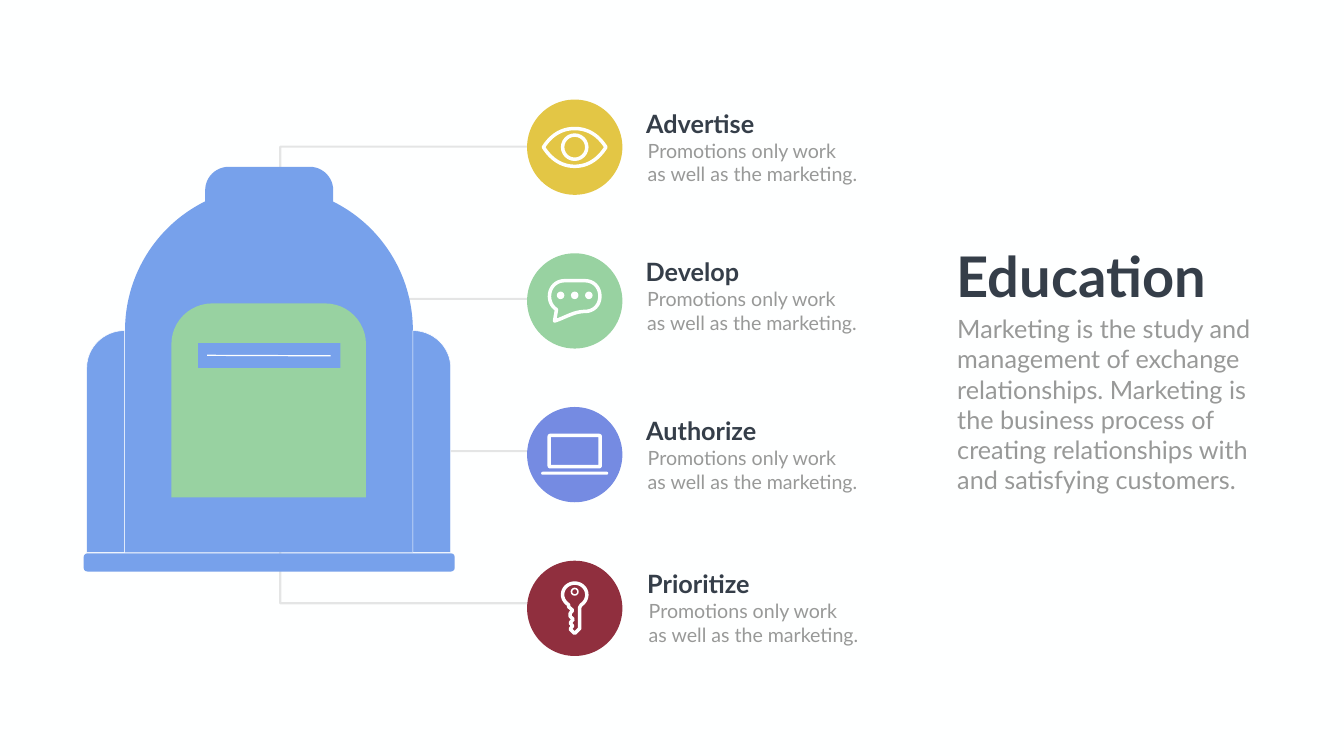
from dataclasses import dataclass
from typing import Callable

from lxml import etree
from pptx import Presentation
from pptx.dml.color import RGBColor
from pptx.enum.shapes import MSO_CONNECTOR, MSO_SHAPE
from pptx.oxml.ns import qn
from pptx.util import Inches, Pt

STRAIGHT = MSO_CONNECTOR.STRAIGHT
OVAL = MSO_SHAPE.OVAL
RECTANGLE = MSO_SHAPE.RECTANGLE
ROUNDED = MSO_SHAPE.ROUNDED_RECTANGLE
ROUND_TOP = MSO_SHAPE.ROUND_2_SAME_RECTANGLE

PAPER = RGBColor(0xFE, 0xFF, 0xFF)
BLUE = RGBColor(0x77, 0xA1, 0xEB)
GREEN = RGBColor(0x98, 0xD2, 0xA1)
YELLOW = RGBColor(0xE3, 0xC6, 0x45)
VIOLET = RGBColor(0x75, 0x8B, 0xE2)
CRIMSON = RGBColor(0x90, 0x2F, 0x3E)
LEADER = RGBColor(0x80, 0x80, 0x80)
INK = RGBColor(0x35, 0x3E, 0x49)
MUTED = RGBColor(0x98, 0x99, 0x98)

# Square grid cells: the page is COLUMNS by ROWS of them.
COLUMNS, ROWS = 26.66, 15
CELL = Inches(1)
FONT = "Lato"
ICON_STROKE = 5
LEADER_STROKE = 3

BADGE_SIZE = 1.89
BADGE_CENTRE = 11.4
FIRST_BADGE_ROW, BADGE_PITCH = 2.92, 3.05
FIRST_LEADER_ROW, LEADER_PITCH = 2.91, 3.02
LEADER_COLUMN = 5.56
BAG_CENTRE = 5.33

Point = tuple[float, float]
Step = tuple[Point, ...]  # one point is a straight line, three are a Bézier curve

EYE: list[Step] = [
    ((-0.62, 0),),
    ((-0.48, -0.22), (-0.28, -0.37), (0, -0.37)),
    ((0.28, -0.37), (0.48, -0.22), (0.62, 0)),
    ((0.48, 0.22), (0.28, 0.38), (0, 0.38)),
    ((-0.28, 0.38), (-0.48, 0.22), (-0.62, 0)),
]
BUBBLE: list[Step] = [
    ((0.2, -0.4),), ((-0.2, -0.4),),
    ((-0.37, -0.4), (-0.5, -0.27), (-0.5, -0.09)),
    ((-0.5, 0.01), (-0.45, 0.12), (-0.36, 0.17)),
    ((-0.4, 0.4),),
    ((-0.3, 0.37), (-0.18, 0.31), (-0.05, 0.26)),
    ((0.03, 0.23), (0.12, 0.21), (0.2, 0.21)),
    ((0.38, 0.21), (0.5, 0.08), (0.5, -0.09)),
    ((0.5, -0.27), (0.38, -0.4), (0.2, -0.4)),
]
KEY: list[Step] = [
    ((0.1, -0.02),), ((0.1, 0.4),), ((0, 0.5),), ((-0.09, 0.41),),
    ((-0.04, 0.35),), ((-0.09, 0.29),), ((-0.03, 0.22),), ((-0.09, 0.16),),
    ((-0.09, 0.1),), ((-0.04, 0.04),), ((-0.12, -0.03),), ((-0.12, -0.07),),
    ((-0.2, -0.12), (-0.24, -0.2), (-0.24, -0.27)),
    ((-0.24, -0.4), (-0.13, -0.5), (0, -0.5)),
    ((0.13, -0.5), (0.24, -0.4), (0.24, -0.27)),
    ((0.24, -0.18), (0.19, -0.11), (0.13, -0.07)),
]


def cells(count: float) -> int:
    return round(count * CELL)


def style(shape, fill=None, line=None, weight: float = 1) -> None:
    shape.shadow.inherit = False
    if fill is None:
        shape.fill.background()
    else:
        shape.fill.solid()
        shape.fill.fore_color.rgb = fill
    if line is None:
        shape.line.fill.background()
    else:
        shape.line.color.rgb = line
        shape.line.width = Pt(weight)


def fade(shape) -> None:
    """Make the line 20 % opaque."""
    colour = next(shape.line._get_or_add_ln().iter(qn("a:srgbClr")))
    etree.SubElement(colour, qn("a:alpha"), val="20000")


def add_preset(page, kind, left: float, top: float, width: float, height: float,
               corner: float | None = None, **look):
    shape = page.shapes.add_shape(kind, *map(cells, (left, top, width, height)))
    if corner is not None:
        shape.adjustments[0] = corner
    style(shape, **look)
    return shape


def add_centred(page, kind, x: float, y: float, width: float, height: float, **look):
    return add_preset(page, kind, x - width / 2, y - height / 2, width, height, **look)


def flatten(steps: list[Step], pieces: int = 16) -> list[Point]:
    points = [steps[0][0]]
    for step in steps[1:]:
        if len(step) == 1:
            points.append(step[0])
            continue
        controls = (points[-1], *step)
        for piece in range(1, pieces + 1):
            t = piece / pieces
            weights = ((1 - t) ** 3, 3 * t * (1 - t) ** 2, 3 * t * t * (1 - t), t ** 3)
            points.append((sum(w * c[0] for w, c in zip(weights, controls)),
                           sum(w * c[1] for w, c in zip(weights, controls))))
    return points


def add_outline(page, steps: list[Step], x: float = 0, y: float = 0,
                close: bool = True, **look):
    points = [(cells(x + px), cells(y + py)) for px, py in flatten(steps)]
    builder = page.shapes.build_freeform(*points[0])
    builder.add_line_segments(points[1:], close=close)
    shape = builder.convert_to_shape()
    style(shape, **look)
    return shape


def add_line(page, start: Point, end: Point, colour: RGBColor, weight: float):
    line = page.shapes.add_connector(STRAIGHT, *map(cells, (*start, *end)))
    line.line.color.rgb = colour
    line.line.width = Pt(weight)
    etree.SubElement(line._element.spPr, qn("a:effectLst"))
    return line


def add_text(page, text: str, left: float, top: float, width: float, height: float,
             *, size: float, colour: RGBColor, bold: bool = False) -> None:
    box = page.shapes.add_textbox(*map(cells, (left, top, width, height)))
    box.text_frame.word_wrap = True
    box.text_frame.text = text
    for para in box.text_frame.paragraphs:
        para.font.name = FONT
        para.font.size = Pt(size)
        para.font.bold = bold
        para.font.color.rgb = colour


def draw_eye(page, x: float, y: float) -> None:
    add_outline(page, EYE, x, y, line=PAPER, weight=ICON_STROKE)
    add_centred(page, OVAL, x, y, 0.48, 0.48, line=PAPER, weight=ICON_STROKE)


def draw_bubble(page, x: float, y: float) -> None:
    add_outline(page, BUBBLE, x, y, line=PAPER, weight=ICON_STROKE)
    for dot in (-1, 0, 1):
        add_centred(page, OVAL, x + dot * 0.28, y - 0.11, 0.15, 0.15, fill=PAPER)


def draw_laptop(page, x: float, y: float) -> None:
    add_centred(page, ROUNDED, x, y - 0.07, 1.01, 0.62, corner=0.03,
                line=PAPER, weight=ICON_STROKE)
    add_centred(page, ROUNDED, x, y + 0.37, 1.33, 0.06, corner=0.5, fill=PAPER)


def draw_key(page, x: float, y: float) -> None:
    add_outline(page, KEY, x, y, line=PAPER, weight=ICON_STROKE)
    add_centred(page, OVAL, x, y - 0.33, 0.13, 0.13, line=PAPER, weight=2.2)


@dataclass(frozen=True)
class Topic:
    heading: str
    colour: RGBColor
    draw_icon: Callable
    left: float
    top: float


TOPICS = [
    Topic("Advertise", YELLOW, draw_eye, 12.72, 2.09),
    Topic("Develop", GREEN, draw_bubble, 12.71, 5.04),
    Topic("Authorize", VIOLET, draw_laptop, 12.72, 8.19),
    Topic("Prioritize", CRIMSON, draw_key, 12.74, 11.23),
]


def draw_leaders(page) -> None:
    rows = [FIRST_LEADER_ROW + index * LEADER_PITCH for index in range(len(TOPICS))]
    for row, bag_edge in ((rows[0], 4.77), (rows[-1], 10.42)):
        elbow = [((BADGE_CENTRE, row),), ((LEADER_COLUMN, row),), ((LEADER_COLUMN, bag_edge),)]
        fade(add_outline(page, elbow, close=False, line=LEADER, weight=LEADER_STROKE))
    for row in rows[1:-1]:
        fade(add_line(page, (BADGE_CENTRE, row), (LEADER_COLUMN, row), LEADER, LEADER_STROKE))


def draw_backpack(page) -> None:
    add_preset(page, ROUND_TOP, 2.48, 3.7, 5.71, 7.26, corner=0.5, fill=BLUE)
    for side in (1, -1):
        inner, bend, outer = (side * reach for reach in (2.86, 3.27, 3.61))
        pocket = [((outer, 10.96),), ((inner, 10.96),), ((inner, 6.56),),
                  ((bend, 6.56), (outer, 6.89), (outer, 7.3))]
        add_outline(page, pocket, BAG_CENTRE, fill=BLUE, line=PAPER, weight=0.75)
    add_preset(page, ROUNDED, 1.66, 10.98, 7.36, 0.36, corner=0.2, fill=BLUE)
    add_preset(page, ROUND_TOP, 3.4, 6.02, 3.86, 3.85, corner=0.21, fill=GREEN)
    add_preset(page, RECTANGLE, 3.93, 6.81, 2.82, 0.49, fill=BLUE)
    add_line(page, (4.11, 7.05), (6.56, 7.06), PAPER, 1.73)
    add_preset(page, ROUND_TOP, 4.07, 3.31, 2.54, 0.93, corner=0.5, fill=BLUE)


def draw_topic(page, topic: Topic, row: float) -> None:
    add_centred(page, OVAL, BADGE_CENTRE, row, BADGE_SIZE, BADGE_SIZE, fill=topic.colour)
    topic.draw_icon(page, BADGE_CENTRE, row)
    add_text(page, topic.heading, topic.left, topic.top, 2.61, 0.71,
             size=36, colour=INK, bold=True)
    add_text(page, "Promotions only work\nas well as the marketing.",
             topic.left + 0.03, topic.top + 0.61, 4.51, 1.04, size=28, colour=MUTED)


def main() -> None:
    deck = Presentation()
    deck.slide_width, deck.slide_height = cells(COLUMNS), cells(ROWS)
    page = deck.slides.add_slide(deck.slide_layouts[6])
    page.background.fill.solid()
    page.background.fill.fore_color.rgb = PAPER

    draw_leaders(page)
    draw_backpack(page)
    for index, topic in enumerate(TOPICS):
        draw_topic(page, topic, FIRST_BADGE_ROW + index * BADGE_PITCH)
    add_text(page, "Education", 18.88, 4.75, 5.24, 1.45, size=80, colour=INK, bold=True)
    add_text(page, "Marketing is the study and management of exchange relationships. "
             "Marketing is the business process of creating relationships with "
             "and satisfying customers.", 18.89, 6.17, 6.54, 3.74, size=36, colour=MUTED)
    deck.save("out.pptx")


if __name__ == "__main__":
    main()
